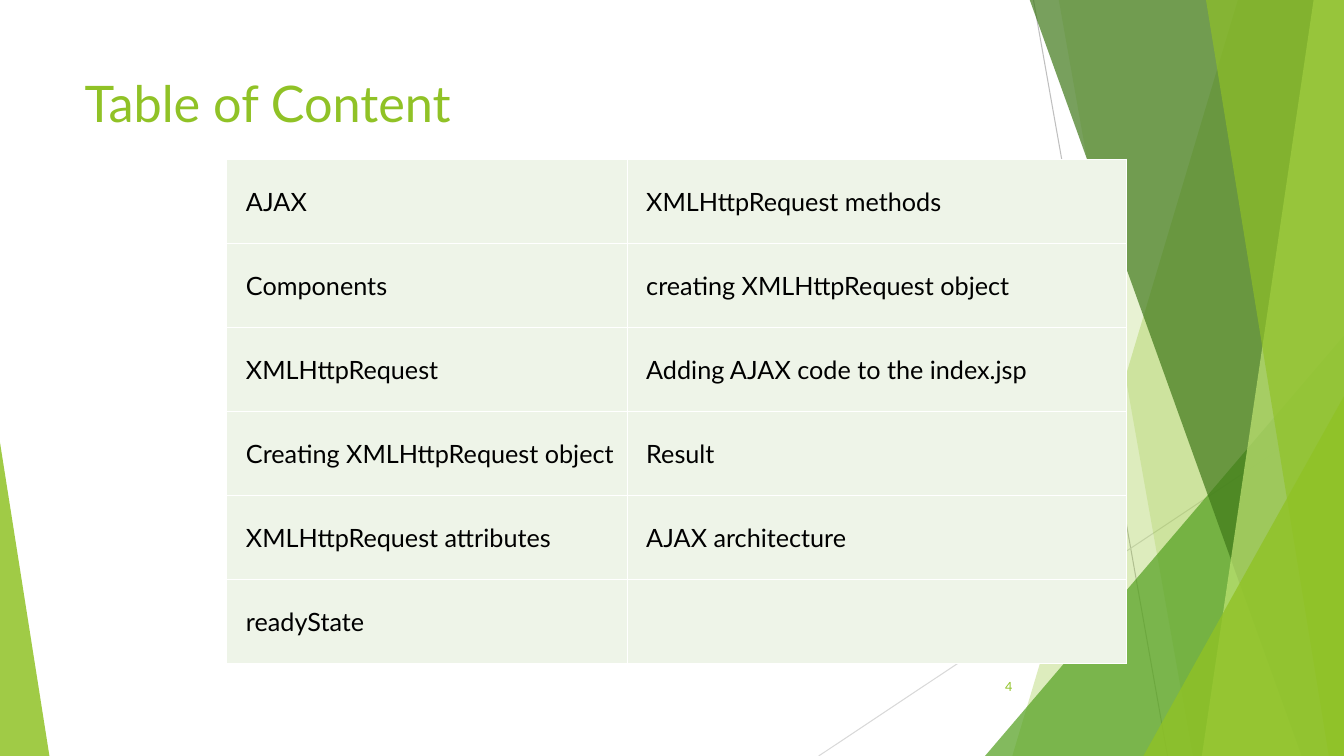
from pptx import Presentation
from pptx.dml.color import RGBColor
from pptx.enum.shapes import MSO_CONNECTOR, MSO_SHAPE
from pptx.enum.text import MSO_ANCHOR, PP_ALIGN
from pptx.oxml.ns import qn
from pptx.util import Inches, Pt
from lxml import etree

TRIANGLE = MSO_SHAPE.ISOSCELES_TRIANGLE
STRAIGHT = MSO_CONNECTOR.STRAIGHT
TOP, MIDDLE = MSO_ANCHOR.TOP, MSO_ANCHOR.MIDDLE
LEFT, RIGHT = PP_ALIGN.LEFT, PP_ALIGN.RIGHT

LIME = RGBColor(0x90, 0xC2, 0x26)
GREEN = RGBColor(0x54, 0xA0, 0x21)
FOREST = RGBColor(0x3F, 0x78, 0x19)
PALE_LIME = RGBColor(0xC0, 0xE4, 0x74)
CELL_FILL = RGBColor(0xEE, 0xF4, 0xE8)
GREY = RGBColor(0xBF, 0xBF, 0xBF)
LIGHT_GREY = RGBColor(0xD9, 0xD9, 0xD9)
BLACK = RGBColor(0, 0, 0)
WHITE = RGBColor(0xFF, 0xFF, 0xFF)
FONT = "Lato"
SLIDE_W, SLIDE_H = 13.33, 7.5

# Content
TITLE = "Table of Content"
PAGE_NUMBER = "4"
TOPICS = [
    ("AJAX", "XMLHttpRequest methods"),
    ("Components", "creating XMLHttpRequest object"),
    ("XMLHttpRequest", "Adding AJAX code to the index.jsp"),
    ("Creating XMLHttpRequest object", "Result"),
    ("XMLHttpRequest attributes", "AJAX architecture"),
    ("readyState", ""),
]
COLUMN_WIDTHS = (3.97, 4.95)
TABLE_LEFT, TABLE_TOP, TABLE_H = 2.25, 1.58, 5

# Decoration, back to front
HAIRLINES = [  # start, end, colour
    ((10.25, 0), (11.58, SLIDE_H), GREY),
    ((SLIDE_W, 4.03), (8.12, SLIDE_H), LIGHT_GREY),
]
# band: left edge at top, left edge at bottom; both reach the right slide edge
# triangle: left, width, height, apex position; all stand on the bottom edge
FACETS = [  # kind, geometry, colour, opacity in percent
    ("band", (12.28, 10.04), LIME, 30),
    ("band", (10.5, 11.83), LIME, 20),
    ("triangle", (9.77, 3.56, 4.17, 1), GREEN, 72),
    ("band", (10.21, 12.91), FOREST, 70),
    ("band", (13.03, 11.92), PALE_LIME, 70),
    ("band", (11.96, 13.18), LIME, 65),
    ("triangle", (11.34, 1.99, 3.57, 1), LIME, 80),
    ("triangle", (0, 0.49, 3.11, 0), LIME, 85),
]


def add_hairline(start, end, color):
    line = slide.shapes.add_connector(STRAIGHT, *map(Inches, start + end))
    line.line.color.rgb = color
    line.line.width = Pt(0.75)
    etree.SubElement(line._element.spPr, qn("a:effectLst"))


def add_band(top_x, bottom_x):
    points = [(top_x, -0.01), (SLIDE_W, -0.01), (SLIDE_W, SLIDE_H), (bottom_x, SLIDE_H)]
    corners = [(Inches(x), Inches(y)) for x, y in points]
    builder = slide.shapes.build_freeform(*corners[0])
    builder.add_line_segments(corners[1:], close=True)
    return builder.convert_to_shape()


def add_triangle(left, width, height, apex):
    box = (left, SLIDE_H - height, width, height)
    sp = slide.shapes.add_shape(TRIANGLE, *map(Inches, box))
    sp.adjustments[0] = apex
    return sp


def paint(sp, color, opacity):
    sp.shadow.inherit = False
    sp.line.fill.background()
    sp.fill.solid()
    sp.fill.fore_color.rgb = color
    srgb = sp._element.spPr.find(qn("a:solidFill")).find(qn("a:srgbClr"))
    etree.SubElement(srgb, qn("a:alpha"), val=str(opacity * 1000))


def write(tf, text, size, color, align=LEFT):
    p = tf.paragraphs[0]
    p.alignment = align
    r = p.add_run()
    r.text = text
    r.font.name = FONT
    r.font.size = Pt(size)
    r.font.color.rgb = color


def add_text(box, text, size, anchor, align):
    tf = slide.shapes.add_textbox(*map(Inches, box)).text_frame
    tf.word_wrap = True
    tf.vertical_anchor = anchor
    write(tf, text, size, LIME, align)


def style_cell(cell):
    tcPr = cell._tc.get_or_add_tcPr()
    for side in ("L", "R", "T", "B"):
        ln = etree.SubElement(tcPr, qn("a:ln" + side), w=str(Pt(1)))
        fill = etree.SubElement(ln, qn("a:solidFill"))
        etree.SubElement(fill, qn("a:srgbClr"), val=str(WHITE))
    cell.fill.solid()
    cell.fill.fore_color.rgb = CELL_FILL
    cell.vertical_anchor = MIDDLE
    cell.margin_left = Inches(0.19)
    cell.margin_top = cell.margin_right = Inches(0.01)
    cell.margin_bottom = 0


prs = Presentation()
prs.slide_width, prs.slide_height = Inches(SLIDE_W), Inches(SLIDE_H)
slide = prs.slides.add_slide(prs.slide_layouts[6])

# Background facets
for start, end, color in HAIRLINES:
    add_hairline(start, end, color)
builders = {"band": add_band, "triangle": add_triangle}
for kind, geometry, color, opacity in FACETS:
    paint(builders[kind](*geometry), color, opacity)

# Title
add_text((0.74, 0.67, 9.4, 1.44), TITLE, 36, TOP, LEFT)

# Topics table
frame = slide.shapes.add_table(
    len(TOPICS), len(COLUMN_WIDTHS), Inches(TABLE_LEFT), Inches(TABLE_TOP),
    Inches(sum(COLUMN_WIDTHS)), Inches(TABLE_H))
table = frame.table
table.first_row = table.horz_banding = False
for column, width in zip(table.columns, COLUMN_WIDTHS):
    column.width = Inches(width)
for i, topics in enumerate(TOPICS):
    for j, topic in enumerate(topics):
        cell = table.cell(i, j)
        style_cell(cell)
        if topic:
            write(cell.text_frame, topic, 18, BLACK)

# Page number
add_text((9.39, 6.61, 0.75, 0.4), PAGE_NUMBER, 9, MIDDLE, RIGHT)

prs.save("out.pptx")
